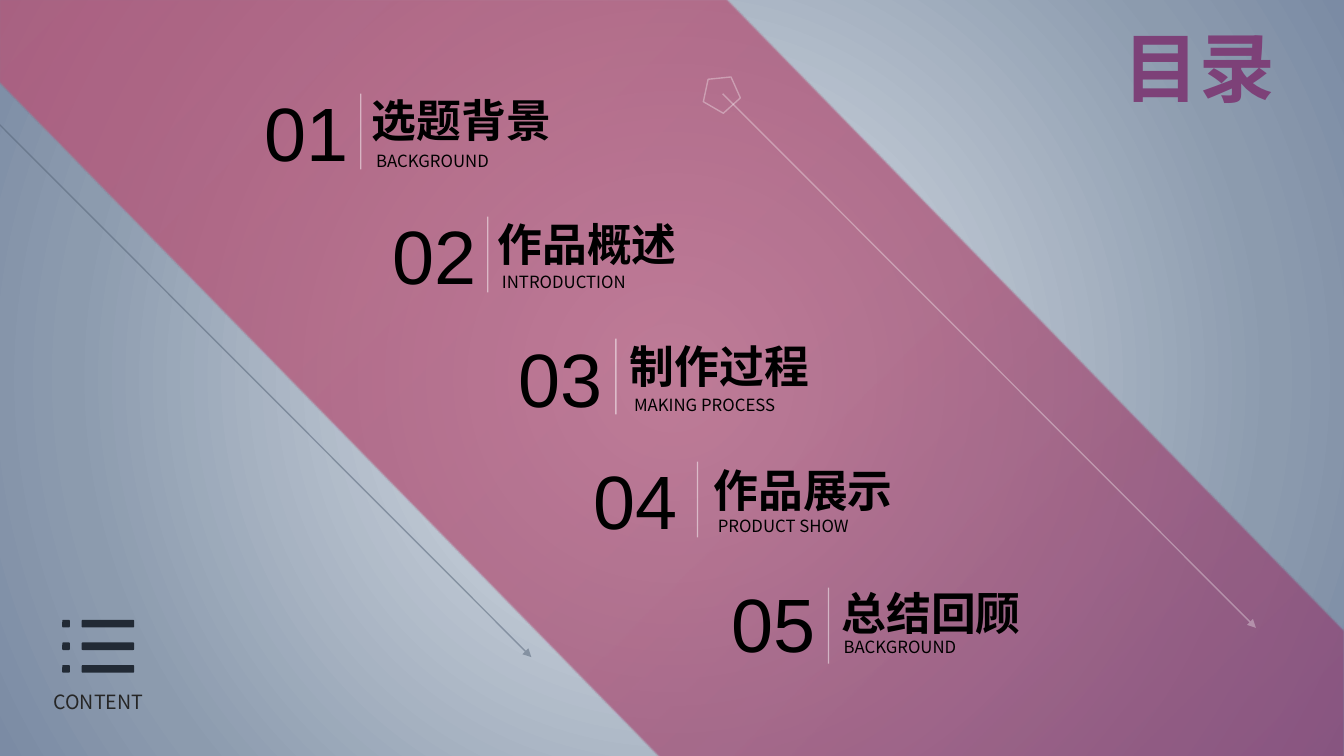
import math
from dataclasses import dataclass

import lxml.etree
import pptx
import pptx.dml.color
import pptx.enum.shapes
import pptx.enum.text
import pptx.oxml.ns
import pptx.shapes.autoshape
import pptx.shapes.base
import pptx.slide
import pptx.util

Cm = pptx.util.Cm
SHAPE = pptx.enum.shapes.MSO_SHAPE
ALIGN = pptx.enum.text.PP_ALIGN
ANCHOR = pptx.enum.text.MSO_ANCHOR
qn = pptx.oxml.ns.qn

COLORS = {
    "mist": "E4E9EF", "steel": "8C9BAE", "slate": "7B8BA4",
    "purple": "7D4178", "rose": "AB4A70", "pink": "C54F71",
    "white": "FFFFFF", "black": "000000", "charcoal": "262626",
    "navy": "222A35", "arrow": "536275",
}
HEADING_FONT = "Arial"
CAPTION_FONT = "Noto Sans CJK SC"


@dataclass(frozen=True)
class Box:
    left: float
    top: float
    width: float
    height: float

    def lengths(self) -> tuple:
        return Cm(self.left), Cm(self.top), Cm(self.width), Cm(self.height)


@dataclass(frozen=True)
class TextStyle:
    size: float
    font: str
    color: str
    bold: bool = False
    align: ALIGN = ALIGN.LEFT
    anchor: ANCHOR = ANCHOR.TOP
    wrap: bool = True
    inset: float = 0.25


@dataclass(frozen=True)
class Stop:
    position: int
    color: str
    opacity: int = 100


@dataclass(frozen=True)
class Line:
    start: tuple[float, float]
    end: tuple[float, float]
    color: str
    opacity: int
    arrow: bool = False


@dataclass(frozen=True)
class Chapter:
    heading: str
    caption: str
    number_left: float
    rule: tuple[float, float]
    heading_left: float
    heading_top: float
    caption_top: float
    caption_width: float
    caption_inset: float = 0.36


CHAPTERS = [
    Chapter("选题背景", "BACKGROUND", 5.82, (9.09, 2.36), 9.12, 2.21, 3.68, 3.63),
    Chapter("作品概述", "INTRODUCTION", 9.04, (12.29, 5.46), 12.29, 5.33, 6.73, 3.94),
    Chapter("制作过程", "MAKING PROCESS", 12.22, (15.52, 8.53), 15.62, 8.41, 9.83, 4.45),
    Chapter("作品展示", "PRODUCT SHOW", 14.1, (17.58, 11.63), 17.73, 11.53, 12.88, 4.19),
    Chapter("总结回顾", "BACKGROUND", 17.58, (20.88, 14.81), 20.96, 14.63, 15.93, 3.6, 0.3),
]
NUMBER_TOP, NUMBER_STEP, RULE_HEIGHT = 2.03, 3.09, 1.91

TITLE_STYLE = TextStyle(54, HEADING_FONT, "purple", True, ALIGN.CENTER, ANCHOR.MIDDLE)
NUMBER_STYLE = TextStyle(54, HEADING_FONT, "black", False, ALIGN.CENTER, ANCHOR.MIDDLE)
HEADING_STYLE = TextStyle(32, HEADING_FONT, "black", True, anchor=ANCHOR.MIDDLE)
LABEL_STYLE = TextStyle(14, CAPTION_FONT, "charcoal", align=ALIGN.CENTER)

BAND_POINTS = [(0, 0), (18.31, 0), (33.87, 15.88), (33.87, 19.05), (16.64, 19.05), (0, 2.08)]
BAND_CENTER = (17.21, 9.26)
BAND_ANGLE = 45.6


def rgb(color: str) -> pptx.dml.color.RGBColor:
    return pptx.dml.color.RGBColor.from_string(COLORS[color])


def add_alpha(color_element, opacity: int) -> None:
    alpha = lxml.etree.SubElement(color_element, qn("a:alpha"))
    alpha.set("val", str(opacity * 1000))


def set_circle_gradient(owner, fill, stops: list[Stop], focus: dict[str, int]) -> None:
    """Give owner a circular gradient; focus holds the l, t, r, b percentages."""
    fill.background()
    empty_fill = owner.element.find(".//" + qn("a:noFill"))
    gradient = lxml.etree.Element(qn("a:gradFill"), rotWithShape="1")
    stop_list = lxml.etree.SubElement(gradient, qn("a:gsLst"))
    for stop in stops:
        stop_element = lxml.etree.SubElement(stop_list, qn("a:gs"), pos=str(stop.position * 1000))
        color = lxml.etree.SubElement(stop_element, qn("a:srgbClr"), val=COLORS[stop.color])
        if stop.opacity < 100:
            add_alpha(color, stop.opacity)
    circle = lxml.etree.SubElement(gradient, qn("a:path"), path="circle")
    sides = {side: str(percent * 1000) for side, percent in focus.items()}
    lxml.etree.SubElement(circle, qn("a:fillToRect"), **sides)
    empty_fill.getparent().replace(empty_fill, gradient)


def style_line(shape, color: str, opacity: int) -> None:
    shape.line.color.rgb = rgb(color)
    shape.line.width = pptx.util.Pt(1)
    line = shape.element.spPr.find(qn("a:ln"))
    add_alpha(line.find(".//" + qn("a:srgbClr")), opacity)


def write_text(shape: pptx.shapes.base.BaseShape, text: str, style: TextStyle) -> None:
    frame = shape.text_frame
    frame.word_wrap = style.wrap
    frame.auto_size = pptx.enum.text.MSO_AUTO_SIZE.SHAPE_TO_FIT_TEXT
    frame.vertical_anchor = style.anchor
    frame.margin_left = Cm(style.inset)
    paragraph = frame.paragraphs[0]
    paragraph.alignment = style.align
    run = paragraph.add_run()
    run.text = text
    run.font.name = style.font
    run.font.size = pptx.util.Pt(style.size)
    run.font.bold = style.bold
    run.font.color.rgb = rgb(style.color)


def add_text(shapes, box: Box, text: str, style: TextStyle) -> None:
    write_text(shapes.add_textbox(*box.lengths()), text, style)


def add_line(shapes, line: Line) -> None:
    ends = [Cm(value) for value in (*line.start, *line.end)]
    connector = shapes.add_connector(pptx.enum.shapes.MSO_CONNECTOR.STRAIGHT, *ends)
    style_line(connector, line.color, line.opacity)
    properties = connector.element.spPr
    if line.arrow:
        lxml.etree.SubElement(properties.find(qn("a:ln")), qn("a:tailEnd"), type="triangle")
    lxml.etree.SubElement(properties, qn("a:effectLst"))


def add_band(slide: pptx.slide.Slide) -> None:
    """Draw the diagonal band, whose outline is laid level and then rotated."""
    angle = math.radians(BAND_ANGLE)
    center_x, center_y = BAND_CENTER
    points = []
    for x, y in BAND_POINTS:
        across, down = x - center_x, y - center_y
        points.append((
            Cm(center_x + across * math.cos(angle) + down * math.sin(angle)),
            Cm(center_y - across * math.sin(angle) + down * math.cos(angle)),
        ))
    builder = slide.shapes.build_freeform(*points[0])
    builder.add_line_segments(points[1:], close=True)
    band = builder.convert_to_shape()
    band.rotation = BAND_ANGLE
    band.shadow.inherit = False
    stops = [Stop(0, "purple", 77), Stop(45, "rose", 68), Stop(100, "pink", 68)]
    set_circle_gradient(band, band.fill, stops, {"l": 100, "t": 100})
    band.line.fill.background()


def add_pentagon_arrow(slide: pptx.slide.Slide) -> None:
    shapes = slide.shapes.add_group_shape().shapes
    add_line(shapes, Line((18.21, 2.36), (31.65, 15.82), "white", 32, arrow=True))
    pentagon = shapes.add_shape(SHAPE.REGULAR_PENTAGON, *Box(17.73, 1.88, 0.94, 0.89).lengths())
    pentagon.rotation = 30
    pentagon.shadow.inherit = False
    pentagon.fill.background()
    style_line(pentagon, "white", 32)


def add_chapter(slide: pptx.slide.Slide, index: int, chapter: Chapter) -> None:
    shapes = slide.shapes.add_group_shape().shapes
    add_text(shapes, Box(chapter.heading_left, chapter.heading_top, 5.33, 1.63),
             chapter.heading, HEADING_STYLE)
    caption_style = TextStyle(12, CAPTION_FONT, "black", wrap=False, inset=chapter.caption_inset)
    add_text(shapes, Box(chapter.heading_left, chapter.caption_top, chapter.caption_width, 0.76),
             chapter.caption, caption_style)
    number_top = NUMBER_TOP + index * NUMBER_STEP
    add_text(shapes, Box(chapter.number_left, number_top, 3.81, 2.57),
             f"{index + 1:02}", NUMBER_STYLE)
    x, top = chapter.rule
    add_line(shapes, Line((x, top), (x, top + RULE_HEIGHT), "white", 49))


def add_list_icon(slide: pptx.slide.Slide) -> None:
    shapes = slide.shapes.add_group_shape().shapes
    for row in range(3):
        for left, width in ((2.06, 1.32), (1.57, 0.19)):
            box = Box(left, 15.62 + row * 0.57, width, 0.19)
            bar = shapes.add_shape(SHAPE.ROUNDED_RECTANGLE, *box.lengths())
            bar.adjustments[0] = 0.12
            bar.shadow.inherit = False
            bar.fill.solid()
            bar.fill.fore_color.rgb = rgb("navy")
            bar.line.fill.background()


def main() -> None:
    presentation = pptx.Presentation()
    presentation.slide_width, presentation.slide_height = Cm(33.87), Cm(19.05)
    slide = presentation.slides.add_slide(presentation.slide_layouts.get_by_name("Title Only"))
    set_circle_gradient(slide, slide.background.fill,
                        [Stop(0, "mist"), Stop(78, "steel"), Stop(100, "slate")],
                        {"l": 50, "t": 50, "r": 50, "b": 50})
    add_band(slide)
    title = slide.shapes.title
    title.left, title.top, title.width, title.height = Box(27, 0.38, 6.45, 2.57).lengths()
    write_text(title, "目录", TITLE_STYLE)
    slide.shapes.element.append(title.element)
    add_text(slide.shapes, Box(0.84, 17.27, 3.28, 0.86), "CONTENT", LABEL_STYLE)
    add_pentagon_arrow(slide)
    for index, chapter in enumerate(CHAPTERS):
        add_chapter(slide, index, chapter)
    add_line(slide.shapes, Line((-0.05, 3.1), (13.39, 16.56), "arrow", 50, arrow=True))
    add_list_icon(slide)
    presentation.save("out.pptx")


if __name__ == "__main__":
    main()
